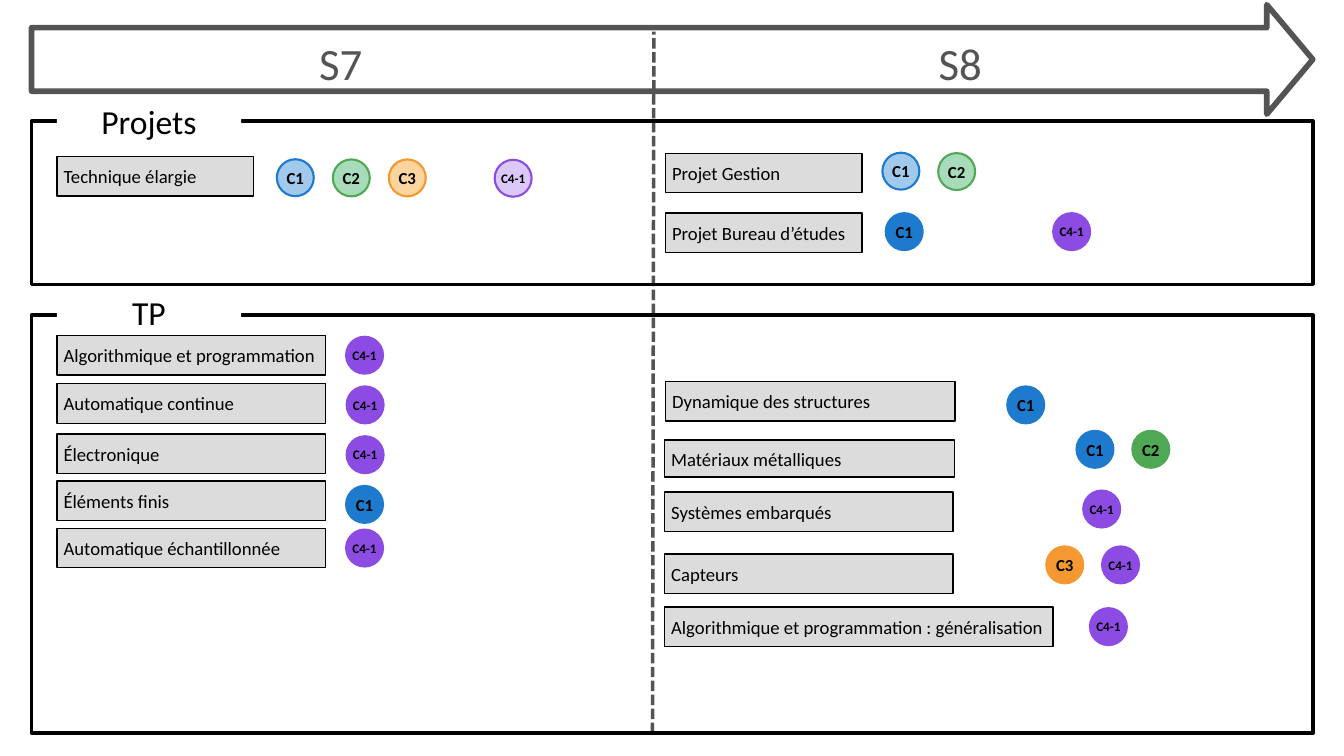
from lxml import etree
from pptx import Presentation
from pptx.dml.color import RGBColor
from pptx.enum import dml, shapes, text
from pptx.oxml import ns
from pptx.util import Pt

BLACK = RGBColor(0x00, 0x00, 0x00)
WHITE = RGBColor(0xFF, 0xFF, 0xFF)
SLATE = RGBColor(0x54, 0x54, 0x54)
GREY = RGBColor(0xDD, 0xDC, 0xDC)
BLUE = RGBColor(0x1E, 0x7A, 0xCC)
GREEN = RGBColor(0x4F, 0xA9, 0x54)
ORANGE = RGBColor(0xF4, 0x98, 0x31)
VIOLET = RGBColor(0x8C, 0x4B, 0xE2)
PALE_BLUE = RGBColor(0xA0, 0xC9, 0xEB)
PALE_GREEN = RGBColor(0xA8, 0xDB, 0xBA)
PALE_ORANGE = RGBColor(0xFB, 0xD4, 0x9E)

LEFT, CENTER = text.PP_ALIGN.LEFT, text.PP_ALIGN.CENTER
RECT = shapes.MSO_SHAPE.RECTANGLE
DISC = 39.6

# Skill code: full colour, pale fill, text size
SKILLS = {
    "C1": (BLUE, PALE_BLUE, 18),
    "C2": (GREEN, PALE_GREEN, 18),
    "C3": (ORANGE, PALE_ORANGE, 18),
    "C4-1": (VIOLET, VIOLET, 14),
}

# Label, left, top, width, height, pale discs, discs (code, left, top)
COURSES = [
    ("Technique élargie", 61, 167.8, 210.5, 42.3, True,
     [("C1", 296.6, 170.6), ("C2", 356.6, 170.8), ("C3", 416.6, 170.8), ("C4-1", 530, 171.2)]),
    ("Projet Gestion", 713, 164.2, 210.5, 42.3, True,
     [("C1", 945.4, 163.6), ("C2", 1005.2, 164)]),
    ("Projet Bureau d’études", 713, 228.4, 210.5, 42.3, False,
     [("C1", 949, 228.4), ("C4-1", 1128.4, 228.4)]),
    ("Algorithmique et programmation", 61, 359.4, 287.8, 42.3, False, [("C4-1", 370.8, 360.8)]),
    ("Automatique continue", 61, 411.2, 287.8, 42.3, False, [("C4-1", 371.4, 414)]),
    ("Électronique", 61, 465, 287.8, 42.3, False, [("C4-1", 371.4, 467.4)]),
    ("Éléments finis", 61, 515.4, 287.8, 42.3, False, [("C1", 370.8, 520.6)]),
    ("Automatique échantillonnée", 61, 566, 287.8, 42.3, False, [("C4-1", 370.8, 567.4)]),
    ("Dynamique des structures", 713, 409, 310.4, 42.3, False, [("C1", 1079.2, 414)]),
    ("Matériaux métalliques", 712, 471.6, 311, 39.6, False,
     [("C1", 1153.4, 461.6), ("C2", 1213.2, 461.6)]),
    ("Systèmes embarqués", 712, 527, 309, 42.3, False, [("C4-1", 1160.6, 525.6)]),
    ("Capteurs", 712, 593.4, 309, 42.3, False, [("C3", 1121, 585.4), ("C4-1", 1180.8, 585.4)]),
    ("Algorithmique et programmation : généralisation", 712, 650.2, 416.2, 42.3, False,
     [("C4-1", 1167.8, 651.6)]),
]

prs = Presentation()
prs.slide_width, prs.slide_height = Pt(1440), Pt(810)
slide = prs.slides.add_slide(prs.slide_layouts[6])


def draw(kind, x, y, w, h, fill=None, line=None, weight=1.5):
    """Add a preset shape; without fill or line colour that part stays empty."""
    item = slide.shapes.add_shape(kind, Pt(x), Pt(y), Pt(w), Pt(h))
    item.shadow.inherit = False
    if fill is None:
        item.fill.background()
    else:
        item.fill.solid()
        item.fill.fore_color.rgb = fill
    if line is None:
        item.line.fill.background()
    else:
        item.line.color.rgb = line
        item.line.width = Pt(weight)
    return item


def write(item, words, size, align=CENTER, color=BLACK, bold=False):
    frame = item.text_frame
    frame.word_wrap = True
    para = frame.paragraphs[0]
    para.alignment = align
    run = para.add_run()
    run.text = words
    run.font.name = "Calibri"
    run.font.size = Pt(size)
    run.font.bold = bold
    run.font.color.rgb = color
    return frame


# Timeline with its two semesters
arrow = draw(shapes.MSO_SHAPE.RIGHT_ARROW, 33.8, 5, 1372.8, 117.4, line=SLATE, weight=6)
arrow.adjustments[0] = 0.58
arrow.adjustments[1] = 0.42

split = slide.shapes.add_connector(
    shapes.MSO_CONNECTOR.STRAIGHT, Pt(699.1), Pt(785.5), Pt(700.6), Pt(33.8))
split.line.color.rgb = SLATE
split.line.width = Pt(3.75)
split.line.dash_style = dml.MSO_LINE.SQUARE_DOT
etree.SubElement(split._element.spPr, ns.qn("a:effectLst"))

for term, x, w in [("S7", 36, 658), ("S8", 706.3, 645)]:
    box = slide.shapes.add_textbox(Pt(x), Pt(33.1), Pt(w), Pt(62.4))
    frame = write(box, term, 48, color=SLATE)
    frame.margin_left = frame.margin_right = frame.margin_top = frame.margin_bottom = 0
    frame.paragraphs[0].line_spacing = Pt(62.4)

# Framed sections, each heading set into the top edge
for y, h in [(129.6, 175), (337.7, 447.8)]:
    draw(RECT, 33.8, y, 1372.8, h, line=BLACK, weight=3.75)
for name, y, anchor in [("TP", 309.6, text.MSO_ANCHOR.TOP),
                        ("Projets", 108, text.MSO_ANCHOR.MIDDLE)]:
    head = draw(RECT, 61, y, 197.3, 44, fill=WHITE)
    write(head, name, 36).vertical_anchor = anchor

# Courses with their skill discs
for name, x, y, w, h, pale, discs in COURSES:
    label = draw(RECT, x, y, w, h, GREY, BLACK)
    write(label, name, 20, LEFT).vertical_anchor = text.MSO_ANCHOR.MIDDLE
    for code, left, top in discs:
        full, light, size = SKILLS[code]
        disc = draw(shapes.MSO_SHAPE.OVAL, left, top, DISC, DISC,
                    light if pale else full, full, 2.25)
        if pale and light == full:
            tint = disc._element.spPr.find(ns.qn("a:solidFill"))[0]
            etree.SubElement(tint, ns.qn("a:alpha"), val="30000")
        frame = write(disc, code, size, bold=True)
        frame.word_wrap = False
        frame.vertical_anchor = text.MSO_ANCHOR.MIDDLE
        frame.margin_left = frame.margin_right = frame.margin_top = frame.margin_bottom = 0

prs.save("out.pptx")
